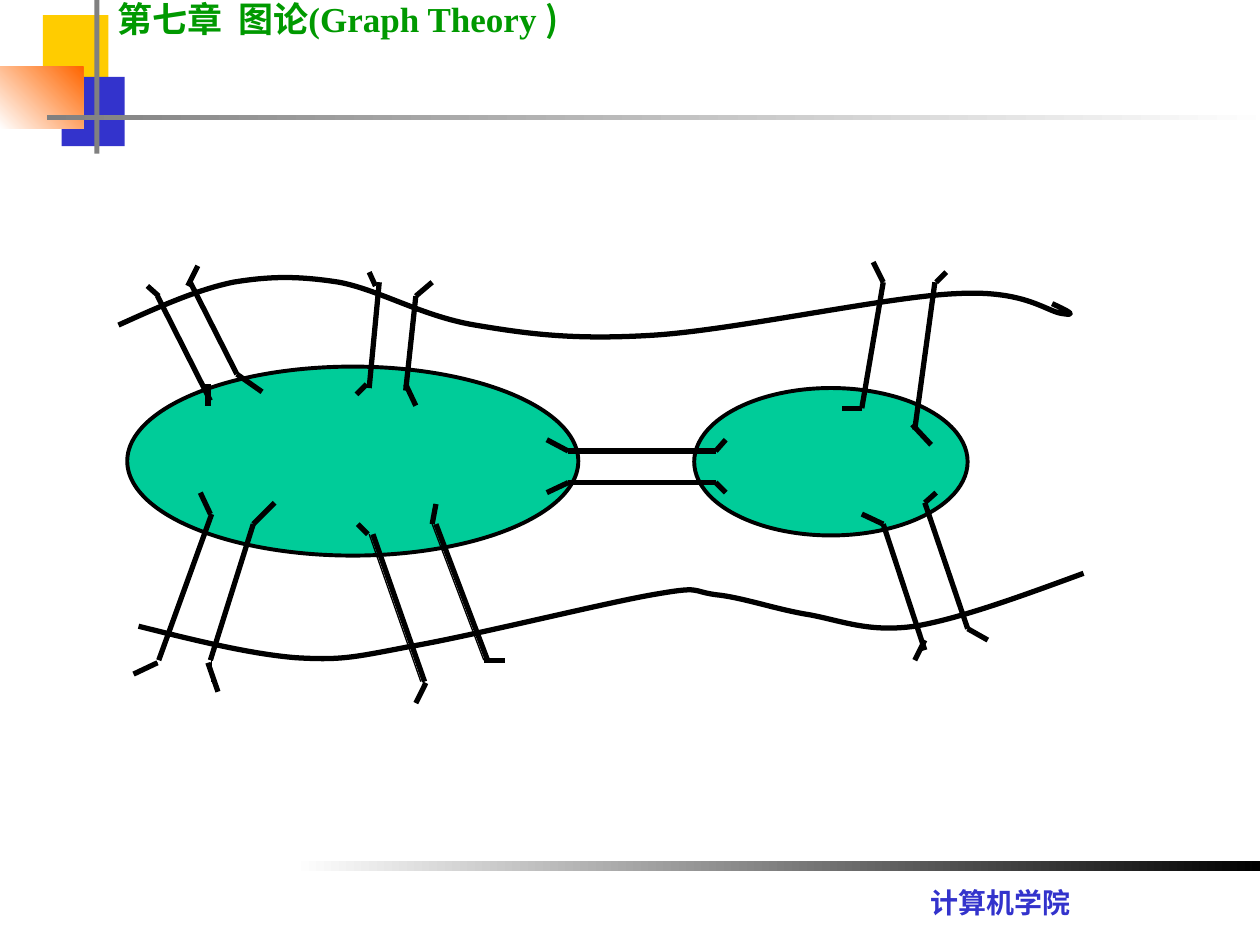
from typing import NamedTuple

from lxml.etree import SubElement
from pptx import Presentation
from pptx.dml.color import RGBColor
from pptx.enum.shapes import MSO_CONNECTOR, MSO_SHAPE
from pptx.enum.text import MSO_ANCHOR, MSO_AUTO_SIZE, PP_ALIGN
from pptx.oxml.ns import qn
from pptx.util import Inches, Pt

COLORS = {
    "green": "009900", "yellow": "FFCC00", "blue": "3333CC", "orange": "FF6600",
    "gray": "808080", "white": "FFFFFF", "black": "000000", "land": "00CC99",
}
CJK = "Noto Sans CJK SC"
THICK, THIN = 3, 0.75


class Block(NamedTuple):
    box: tuple
    fill: tuple  # one colour, or two for a gradient
    angle: int = 0


class Stroke(NamedTuple):
    x1: float
    y1: float
    x2: float
    y2: float
    width: float = THICK


BLOCKS = [
    Block((0.34, 0.12, 0.52, 0.55), ("yellow",)),
    Block((0.49, 0.61, 0.5, 0.55), ("blue",)),
    Block((0, 0.53, 0.66, 0.49), ("white", "orange"), 45),
    Block((0.75, 0, 0.04, 1.22), ("gray",)),
    Block((0.37, 0.91, 9.75, 0.04), ("gray", "white")),
    Block((2.33, 6.83, 7.67, 0.08), ("white", "black")),
]

ISLANDS = [(1.01, 2.91, 3.58, 1.5), (5.51, 3.08, 2.17, 1.17)]

# River banks: a start point, then three points for each Bezier segment
BANKS = [
    [(0.94, 2.58), (1.25, 2.44), (1.56, 2.3), (1.85, 2.24),
     (2.15, 2.19), (2.37, 2.19), (2.69, 2.24),
     (3.01, 2.3), (3.35, 2.51), (3.77, 2.58),
     (4.19, 2.65), (4.55, 2.7), (5.19, 2.66),
     (5.83, 2.62), (7.06, 2.35), (7.6, 2.33),
     (8.15, 2.3), (8.31, 2.48), (8.44, 2.49),
     (8.56, 2.51), (8.46, 2.46), (8.35, 2.41)],
    [(1.1, 4.97), (1.54, 5.08), (1.98, 5.19), (2.35, 5.22),
     (2.71, 5.24), (2.79, 5.22), (3.26, 5.13),
     (3.73, 5.05), (4.78, 4.79), (5.18, 4.72),
     (5.58, 4.65), (5.47, 4.69), (5.68, 4.72),
     (5.89, 4.74), (6.17, 4.84), (6.43, 4.88),
     (6.69, 4.93), (6.9, 5.02), (7.26, 4.97),
     (7.62, 4.91), (8.11, 4.73), (8.6, 4.55)],
]

# Each bridge: its two rails, then their flared ends
BRIDGES = {
    "top left": [
        Stroke(1.25, 2.35, 1.67, 3.18), Stroke(1.51, 2.24, 1.88, 2.97),
        Stroke(1.26, 2.35, 1.17, 2.27), Stroke(1.65, 3.05, 1.65, 3.22),
        Stroke(1.57, 2.11, 1.49, 2.27), Stroke(1.88, 2.97, 2.08, 3.11)],
    "top middle": [
        Stroke(3.01, 2.24, 2.93, 3.08), Stroke(3.3, 2.35, 3.22, 3.1),
        Stroke(2.98, 2.27, 2.93, 2.16), Stroke(3.3, 2.35, 3.43, 2.24),
        Stroke(2.83, 3.13, 2.91, 3.05), Stroke(3.22, 3.05, 3.3, 3.22)],
    "between islands": [
        Stroke(4.51, 3.58, 5.68, 3.58), Stroke(4.51, 3.83, 5.68, 3.83),
        Stroke(4.51, 3.58, 4.34, 3.49), Stroke(4.51, 3.83, 4.34, 3.91),
        Stroke(5.68, 3.58, 5.76, 3.49), Stroke(5.68, 3.83, 5.76, 3.91)],
    "bottom left": [
        Stroke(1.68, 4.08, 1.26, 5.24), Stroke(2.01, 4.16, 1.67, 5.24),
        Stroke(1.67, 4.08, 1.59, 3.91), Stroke(2.01, 4.16, 2.18, 3.99),
        Stroke(1.1, 5.34, 1.25, 5.26, THIN), Stroke(1.68, 5.24, 1.68, 5.41, THIN),
        Stroke(1.06, 5.35, 1.25, 5.26), Stroke(1.65, 5.26, 1.73, 5.49)],
    "bottom middle": [
        Stroke(2.93, 4.24, 3.34, 5.41, THIN), Stroke(3.43, 4.16, 3.84, 5.24, THIN),
        Stroke(2.96, 4.24, 3.37, 5.41), Stroke(3.46, 4.16, 3.87, 5.24),
        Stroke(2.92, 4.24, 2.84, 4.16), Stroke(3.43, 4.16, 3.46, 4),
        Stroke(3.84, 5.24, 4.01, 5.24), Stroke(3.38, 5.42, 3.3, 5.58)],
    "top right": [
        Stroke(7.01, 2.24, 6.84, 3.24), Stroke(7.42, 2.24, 7.26, 3.41),
        Stroke(7.01, 2.24, 6.93, 2.08), Stroke(7.43, 2.24, 7.51, 2.16),
        Stroke(6.84, 3.24, 6.68, 3.24), Stroke(7.24, 3.37, 7.39, 3.53)],
    "bottom right": [
        Stroke(7.01, 4.16, 7.34, 5.16), Stroke(7.34, 3.99, 7.68, 4.99),
        Stroke(7.34, 5.08, 7.26, 5.24), Stroke(7.68, 4.99, 7.84, 5.08),
        Stroke(7.01, 4.16, 6.84, 4.08), Stroke(7.34, 3.99, 7.43, 3.91)],
}


def rgb(name: str) -> RGBColor:
    return RGBColor.from_string(COLORS[name])


def set_line(shape, width: float) -> None:
    shape.line.color.rgb = rgb("black")
    shape.line.width = Pt(width)


def add_block(s, block: Block) -> None:
    sp = s.shapes.add_shape(MSO_SHAPE.RECTANGLE, *map(Inches, block.box))
    sp.shadow.inherit = False
    sp.line.fill.background()
    if len(block.fill) == 1:
        sp.fill.solid()
        sp.fill.fore_color.rgb = rgb(block.fill[0])
        return
    sp.fill.gradient()
    sp.fill.gradient_angle = block.angle
    for stop, name in zip(sp.fill.gradient_stops, block.fill):
        stop.color.rgb = rgb(name)


def add_island(s, box: tuple) -> None:
    sp = s.shapes.add_shape(MSO_SHAPE.OVAL, *map(Inches, box))
    sp.shadow.inherit = False
    sp.fill.solid()
    sp.fill.fore_color.rgb = rgb("land")
    set_line(sp, 2.25)


def add_bank(s, points: list) -> None:
    start, *rest = [(Inches(x), Inches(y)) for x, y in points]
    builder = s.shapes.build_freeform(*start)
    builder.add_line_segments(rest, close=False)
    sp = builder.convert_to_shape()
    # Join every three straight steps into one cubic curve
    steps = list(sp._element.iter(qn("a:lnTo")))
    outline = steps[0].getparent()
    for i in range(0, len(steps), 3):
        curve = SubElement(outline, qn("a:cubicBezTo"))
        for step in steps[i:i + 3]:
            curve.append(step[0])
            outline.remove(step)
    sp.shadow.inherit = False
    sp.fill.background()
    set_line(sp, THICK)


def add_stroke(s, stroke: Stroke) -> None:
    line = s.shapes.add_connector(MSO_CONNECTOR.STRAIGHT, *map(Inches, stroke[:4]))
    set_line(line, stroke.width)
    SubElement(line._element.spPr, qn("a:effectLst"))


def write_text(sp, box: tuple, runs: list, size: float, color: str, wrap: bool) -> None:
    sp.left, sp.top, sp.width, sp.height = map(Inches, box)
    tf = sp.text_frame
    frame = {"word_wrap": wrap, "auto_size": MSO_AUTO_SIZE.NONE,
             "vertical_anchor": MSO_ANCHOR.TOP}
    for key, value in frame.items():
        setattr(tf, key, value)
    p = tf.paragraphs[0]
    p.alignment = PP_ALIGN.LEFT
    for text, font in runs:
        r = p.add_run()
        r.text = text
        for key, value in {"name": font, "size": Pt(size), "bold": True}.items():
            setattr(r.font, key, value)
        r.font.color.rgb = rgb(color)
        r.font._element.find(qn("a:latin")).addnext(
            r.font._element.makeelement(qn("a:ea"), {"typeface": CJK}))


def main() -> None:
    prs = Presentation()
    prs.slide_width, prs.slide_height = Inches(10), Inches(7.5)
    s = prs.slides.add_slide(prs.slide_layouts[5])

    # Chapter title, corner decoration and footer
    title = [("第", "Times New Roman"), ("七", CJK),
             ("章  图论(Graph Theory ", "Times New Roman"), (")", CJK)]
    write_text(s.shapes.title, (0.83, -0.07, 5.75, 0.44), title, 20, "green", True)
    for block in BLOCKS:
        add_block(s, block)
    footer_box = (7.29, 6.98, 1.36, 0.37)
    footer = s.shapes.add_textbox(*map(Inches, footer_box))
    write_text(footer, footer_box, [("计算机学院", "Karla")], 16, "blue", False)

    # Banks, islands and the seven bridges
    for bank in BANKS:
        add_bank(s, bank)
    for island in ISLANDS:
        add_island(s, island)
    for strokes in BRIDGES.values():
        for stroke in strokes:
            add_stroke(s, stroke)

    prs.save("out.pptx")


if __name__ == "__main__":
    main()
